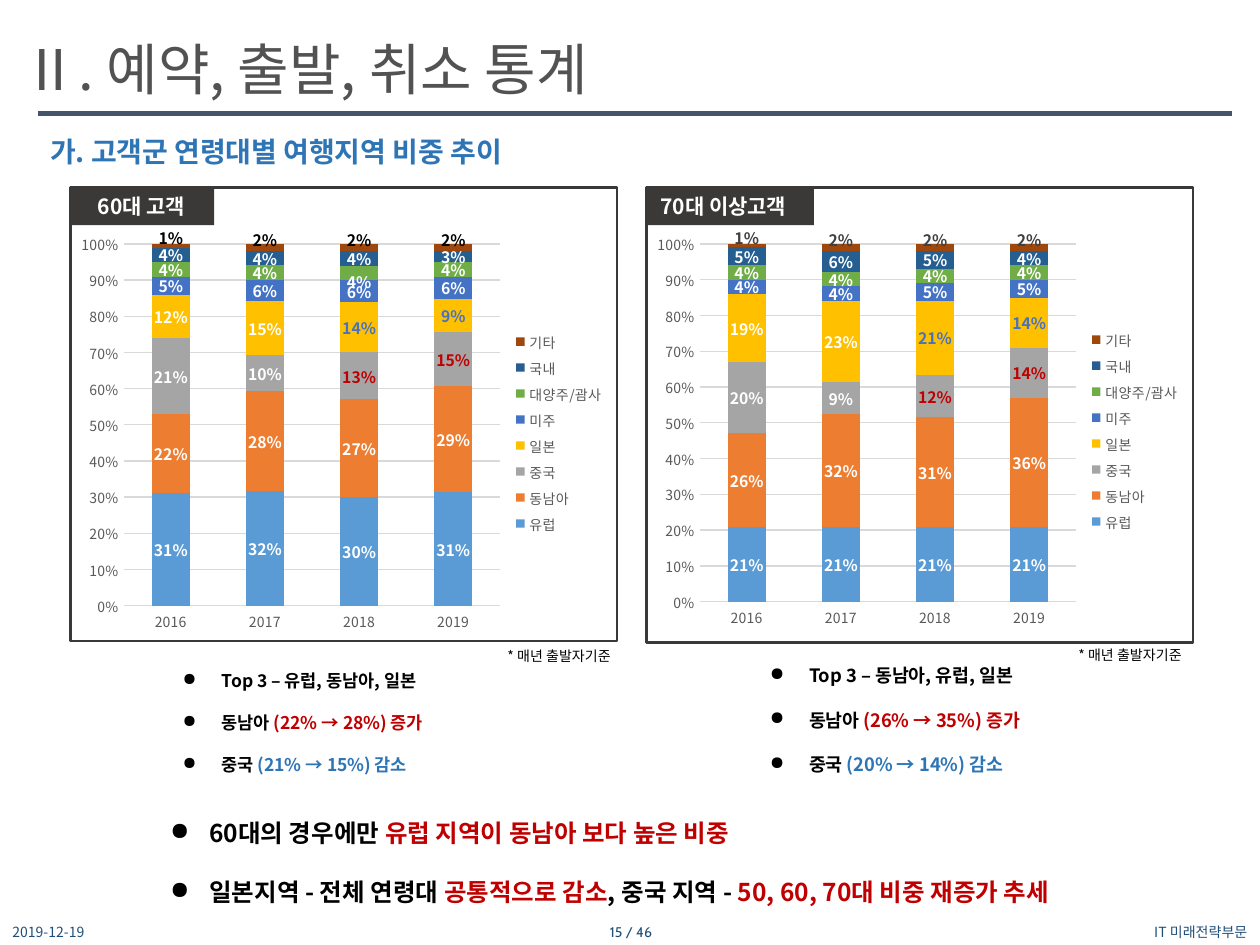
from lxml.etree import SubElement, fromstring
from pptx import Presentation
from pptx.chart.data import CategoryChartData as Data
from pptx.dml.color import RGBColor as RGB
from pptx.enum.chart import XL_CHART_TYPE as Kind, XL_LABEL_POSITION as Spot
from pptx.enum.chart import XL_LEGEND_POSITION as Side, XL_TICK_MARK as Tick
from pptx.enum.shapes import MSO_CONNECTOR as Conn, MSO_SHAPE as Form
from pptx.enum.text import MSO_ANCHOR as Anchor, PP_ALIGN as Align
from pptx.oxml.ns import nsdecls, qn
from pptx.util import Cm, Pt

SANS, CABIN = "Noto Sans CJK KR", "Cabin"
BLACK, WHITE = RGB(0, 0, 0), RGB(255, 255, 255)
DARK, GRAY, TITLE = RGB(0x3B, 0x38, 0x38), RGB(0x59, 0x59, 0x59), RGB(0x52, 0x52, 0x52)
SOFT, PALE = RGB(0x40, 0x40, 0x40), RGB(0xD9, 0xD9, 0xD9)
RED, BLUE, NAVY = RGB(0xC0, 0, 0), RGB(0x2E, 0x75, 0xB6), RGB(0x1F, 0x4E, 0x79)
RULE, MARK = RGB(0x44, 0x54, 0x6A), RGB(0x44, 0x72, 0xC4)
AREAS = {
    "유럽": RGB(0x5B, 0x9B, 0xD5), "동남아": RGB(0xED, 0x7D, 0x31),
    "중국": RGB(0xA5, 0xA5, 0xA5), "일본": RGB(0xFF, 0xC0, 0),
    "미주": MARK, "대양주/괌사": RGB(0x70, 0xAD, 0x47),
    "국내": RGB(0x25, 0x5E, 0x91), "기타": RGB(0x9E, 0x48, 0x0E),
}
YEARS = ["2016", "2017", "2018", "2019"]

# Each panel: place, tab, chart, note and list, in cm from the panel's corner
PANELS = [
    dict(box=(1.42, 3.78, 11.02, 9.14), name="60대 고객", tab=2.9, pad=0.3,
         deep=8.36, note=(8.56, 9.14), list=(2.01, 9.17, 6.55, 2.92), size=10,
         top="유럽, 동남아, 일본", up="(22% → 28%) 증가", down="(21% → 15%) 감소",
         ink=BLACK, low=[("대양주/괌사", 2)],
         rows=[(.31, .32, .30, .31), (.22, .28, .27, .29), (.21, .10, .13, .15),
               (.12, .15, .14, .09), (.05, .06, .06, .06), (.04, .04, .04, .04),
               (.04, .04, .04, .03), (.01, .02, .02, .02)]),
    dict(box=(13.03, 3.78, 11.02, 9.17), name="70대 이상고객", tab=3.38, pad=0.03,
         deep=8.28, note=(8.46, 9.12), list=(2.24, 9.05, 6.65, 2.92), size=10.5,
         top="동남아, 유럽, 일본", up="(26% → 35%) 증가", down="(20% → 14%) 감소",
         ink=SOFT, low=[],
         rows=[(.21, .21, .21, .21), (.26, .32, .31, .36), (.20, .09, .12, .14),
               (.19, .23, .21, .14), (.04, .04, .05, .05), (.04, .04, .04, .04),
               (.05, .06, .05, .04), (.01, .02, .02, .02)]),
]


def style(font, ink, size, bold=False, face=SANS):
    for key, val in dict(size=Pt(size), bold=bold, name=face).items():
        setattr(font, key, val)
    font.color.rgb = ink


def east(root):
    """Use the Latin face for Korean letters too."""
    for latin in list(root.iter(qn("a:latin"))):
        latin.addnext(fromstring(
            f'<a:ea {nsdecls("a")} typeface="{latin.get("typeface")}"/>'))


def text(slide, box, paras, size, bold=False, face=SANS, wrap=True,
         align=Align.LEFT, anchor=Anchor.TOP, list=False):
    """Write paragraphs, each a list of (words, colour) runs."""
    frame = slide.shapes.add_textbox(*map(Cm, box)).text_frame
    for key, val in dict(word_wrap=wrap, vertical_anchor=anchor).items():
        setattr(frame, key, val)
    for i, runs in enumerate(paras):
        para = frame.add_paragraph() if i else frame.paragraphs[0]
        para.alignment = align
        if list:
            props = para._p.get_or_add_pPr()
            props.set("marL", str(Cm(0.79)))
            props.set("indent", str(-Cm(0.79)))
            SubElement(props, qn("a:buChar")).set("char", "●")
            para.line_spacing = 2.0
        for words, ink in runs:
            run = para.add_run()
            run.text = words
            style(run.font, ink, size, bold, face)


def rect(slide, box, fill=None):
    shape = slide.shapes.add_shape(Form.RECTANGLE, *map(Cm, box))
    shape.shadow.inherit = False
    if fill:
        shape.fill.solid()
        shape.fill.fore_color.rgb = fill
        shape.line.fill.background()
    else:
        shape.fill.background()
        shape.line.color.rgb = DARK
        shape.line.width = Pt(1.5)


def label(series, i, ink, drop=0):
    """Recolour one label and move it down by a share of the chart."""
    tag = series.points[i].data_label
    style(tag.font, ink, 9, True)
    tag.position = Spot.CENTER
    if drop:
        node = series.data_labels._element.find(f'{qn("c:dLbl")}/{qn("c:idx")}[@val="{i}"]')
        node.addnext(fromstring(
            f'<c:layout {nsdecls("c")}><c:manualLayout><c:x val="0"/>'
            f'<c:y val="{drop}"/></c:manualLayout></c:layout>'))


def graph(slide, box, rows, ink, low):
    data = Data(number_format="0%")
    data.categories = YEARS
    for name, row in zip(AREAS, rows):
        data.add_series(name, row)
    chart = slide.shapes.add_chart(Kind.COLUMN_STACKED_100, *map(Cm, box), data).chart
    style(chart.font, BLACK, 10)
    chart.has_title = False
    chart.has_legend = True
    for key, val in dict(position=Side.RIGHT, include_in_layout=False).items():
        setattr(chart.legend, key, val)
    style(chart.legend.font, GRAY, 8)

    # Axes
    cat, val = chart.category_axis, chart.value_axis
    for axis in (cat, val):
        axis.major_tick_mark = axis.minor_tick_mark = Tick.NONE
        style(axis.tick_labels.font, GRAY, 8)
    for key, num in dict(minimum_scale=0, maximum_scale=1, major_unit=0.1).items():
        setattr(val, key, num)
    val.tick_labels.number_format = "0%"
    val.tick_labels.number_format_is_linked = False
    val.format.line.fill.background()
    for line in (cat.format.line, val.major_gridlines.format.line):
        line.color.rgb = PALE
        line.width = Pt(0.75)

    # Columns and their labels
    plot = chart.plots[0]
    for key, num in dict(gap_width=150, overlap=100, vary_by_categories=False).items():
        setattr(plot, key, num)
    for series in plot.series:
        name = series.name
        series.format.fill.solid()
        series.format.fill.fore_color.rgb = AREAS[name]
        tags = series.data_labels
        for key, opt in dict(show_value=True, number_format="0%", position=Spot.CENTER,
                             number_format_is_linked=False).items():
            setattr(tags, key, opt)
        last = name == "기타"
        style(tags.font, ink if last else WHITE, 9, True)
        for i in range(len(YEARS)):
            if last:
                label(series, i, ink, -0.02)
            elif (name, i) in low:
                label(series, i, WHITE, 0.02)
            elif i > 1 and name in ("중국", "일본"):
                label(series, i, RED if name == "중국" else MARK)
    east(chart._chartSpace)


def panel(slide, box, name, tab, pad, deep, note, list, size, top, up, down,
          ink, low, rows):
    x, y, w, h = box
    rect(slide, (x, y, tab, 0.76), DARK)
    rect(slide, box)
    text(slide, (x + pad, y, tab + 0.33 - pad, 0.76), [[(name, WHITE)]], 12, True)
    graph(slide, (x, y + 0.76, w, deep), rows, ink, low)
    text(slide, (x + note[0], y + note[1], 2.72, 0.61),
         [[("* 매년 출발자기준", BLACK)]], 8, wrap=False)
    dx, dy, wide, high = list
    text(slide, (x + dx, y + dy, wide, high), [
        [("Top 3 – " + top, BLACK)],
        [("동남아 ", BLACK), (up, RED)],
        [("중국 ", BLACK), (down, BLUE)]], size, True, list=True)


def head(slide, box):
    x, y, w, h = box
    text(slide, (x, y, 16.2, 1.63), [[("Ⅱ. 예약, 출발, 취소 통계", TITLE)]], 32)
    rule = slide.shapes.add_connector(
        Conn.STRAIGHT, Cm(x + 0.56), Cm(y + 1.71), Cm(x + w), Cm(y + 1.71))
    rule.line.color.rgb = RULE
    rule.line.width = Pt(3)
    SubElement(rule._element.spPr, qn("a:effectLst"))
    text(slide, (x + 0.56, y + 2.01, 13.56, 0.94),
         [[("가. 고객군 연령대별 여행지역 비중 추이", BLUE)]], 16, True)


def close(slide, box):
    text(slide, box, [
        [("60대의 경우에만 ", BLACK), ("유럽 지역이 동남아 보다 높은 비중", RED)],
        [("일본지역 - 전체 연령대 ", BLACK), ("공통적으로 감소", RED),
         (", 중국 지역 - ", BLACK), ("50, 60, 70대 비중 재증가 추세", RED)]],
        14, True, list=True)


def foot(slide, box):
    x, y, w, h = box
    for dx, wide, words, align, face in (
            (0, 5.72, "2019-12-19", Align.LEFT, SANS),
            (9.86, 5.72, "15 / 46", Align.CENTER, CABIN),
            (w - 4.83, 4.83, "IT 미래전략부문", Align.RIGHT, SANS)):
        text(slide, (x + dx, y, wide, h), [[(words, NAVY)]], 8, face=face,
             align=align, anchor=Anchor.MIDDLE)


def main():
    deck = Presentation()
    deck.slide_width, deck.slide_height = Cm(25.4), Cm(19.05)
    slide = deck.slides.add_slide(deck.slide_layouts[6])
    head(slide, (0.2, 0.58, 24.64, 2.95))
    for part in PANELS:
        panel(slide, **part)
    close(slide, (3.18, 15.77, 20.62, 2.64))
    foot(slide, (0, 18.53, 25.4, 0.52))
    east(slide._element)
    deck.save("out.pptx")


if __name__ == "__main__":
    main()
